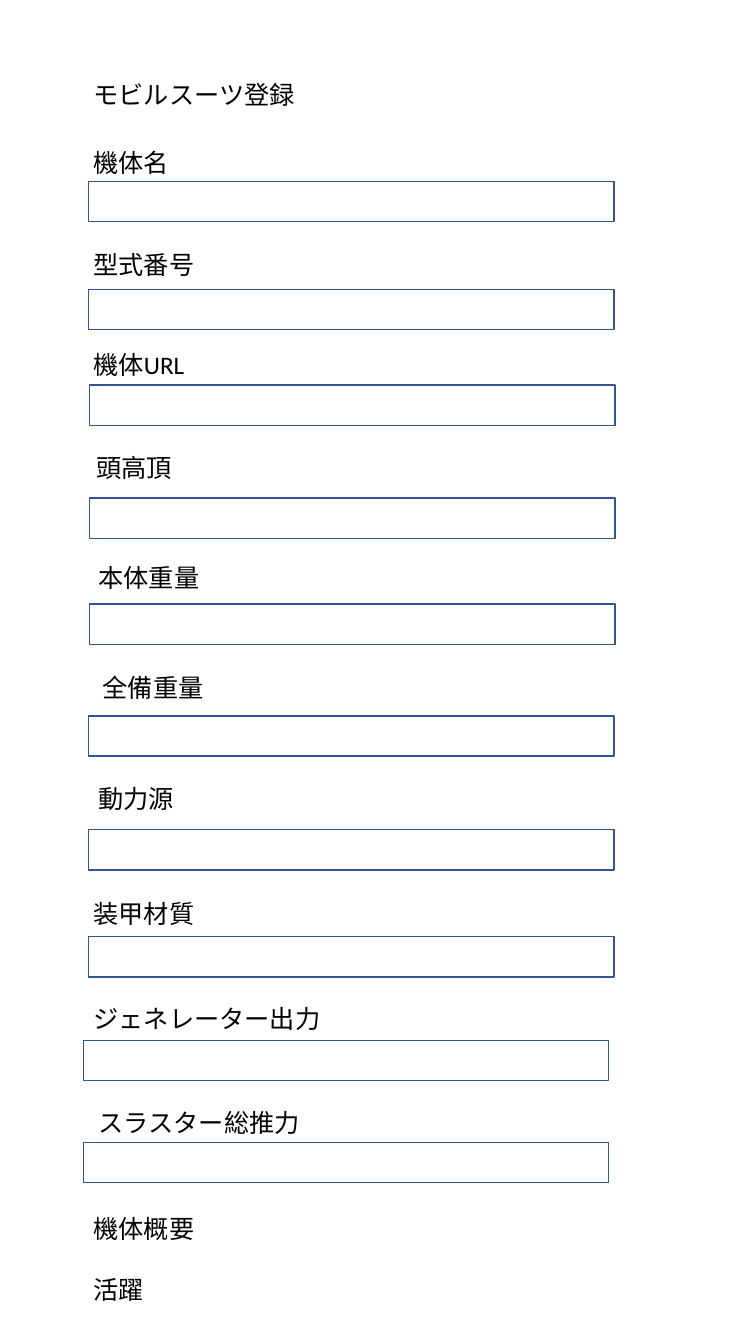
from pptx import Presentation
from pptx.dml.color import RGBColor
from pptx.enum.shapes import MSO_SHAPE
from pptx.enum.text import MSO_AUTO_SIZE
from pptx.util import Inches, Pt

RECT = MSO_SHAPE.RECTANGLE
GROW = MSO_AUTO_SIZE.SHAPE_TO_FIT_TEXT
COLORS = {"text": "000000", "field": "FFFFFF", "border": "325491"}
ROW_H = 0.4
FIELD_W = 5.21
LABEL_W = 1.64

prs = Presentation()
prs.slide_width, prs.slide_height = Inches(7.5), Inches(13.33)
s = prs.slides.add_slide(prs.slide_layouts[6])


def add_label(text, left, top, width=LABEL_W):
    """Add one line of form text."""
    box = s.shapes.add_textbox(Inches(left), Inches(top), Inches(width), Inches(ROW_H))
    tf = box.text_frame
    tf.word_wrap = True
    tf.auto_size = GROW
    r = tf.paragraphs[0].add_run()
    r.text = text
    for name, value in {"name": "Calibri", "size": Pt(18)}.items():
        setattr(r.font, name, value)
    r.font.color.rgb = RGBColor.from_string(COLORS["text"])


def add_field(left, top):
    """Add one empty input field."""
    field = s.shapes.add_shape(RECT, Inches(left), Inches(top), Inches(FIELD_W), Inches(ROW_H))
    field.shadow.inherit = False
    field.fill.solid()
    field.fill.fore_color.rgb = RGBColor.from_string(COLORS["field"])
    field.line.color.rgb = RGBColor.from_string(COLORS["border"])
    field.line.width = Pt(1)


# Label, label left, label top, label width, field left, field top
entries = [
    ("機体名", 0.83, 1.41, LABEL_W, 0.88, 1.8),
    ("型式番号", 0.83, 2.42, LABEL_W, 0.88, 2.87),
    ("機体URL", 0.83, 3.42, LABEL_W, 0.89, 3.82),
    ("頭高頂", 0.86, 4.44, LABEL_W, 0.89, 4.94),
    ("本体重量", 0.88, 5.53, LABEL_W, 0.89, 5.99),
    ("全備重量", 0.92, 6.62, LABEL_W, 0.88, 7.1),
    ("動力源", 0.88, 7.72, LABEL_W, 0.88, 8.23),
    ("装甲材質", 0.83, 8.86, LABEL_W, 0.88, 9.29),
    ("ジェネレーター出力", 0.83, 9.9, 2.66, 0.83, 10.32),
    ("スラスター総推力", 0.88, 10.93, 2.34, 0.83, 11.33),
]

add_label("モビルスーツ登録", 0.83, 0.74, 2.3)
for text, label_left, label_top, label_width, field_left, field_top in entries:
    add_label(text, label_left, label_top, label_width)
    add_field(field_left, field_top)
add_label("機体概要", 0.83, 11.98)
add_label("活躍", 0.83, 12.59)

prs.save("out.pptx")
